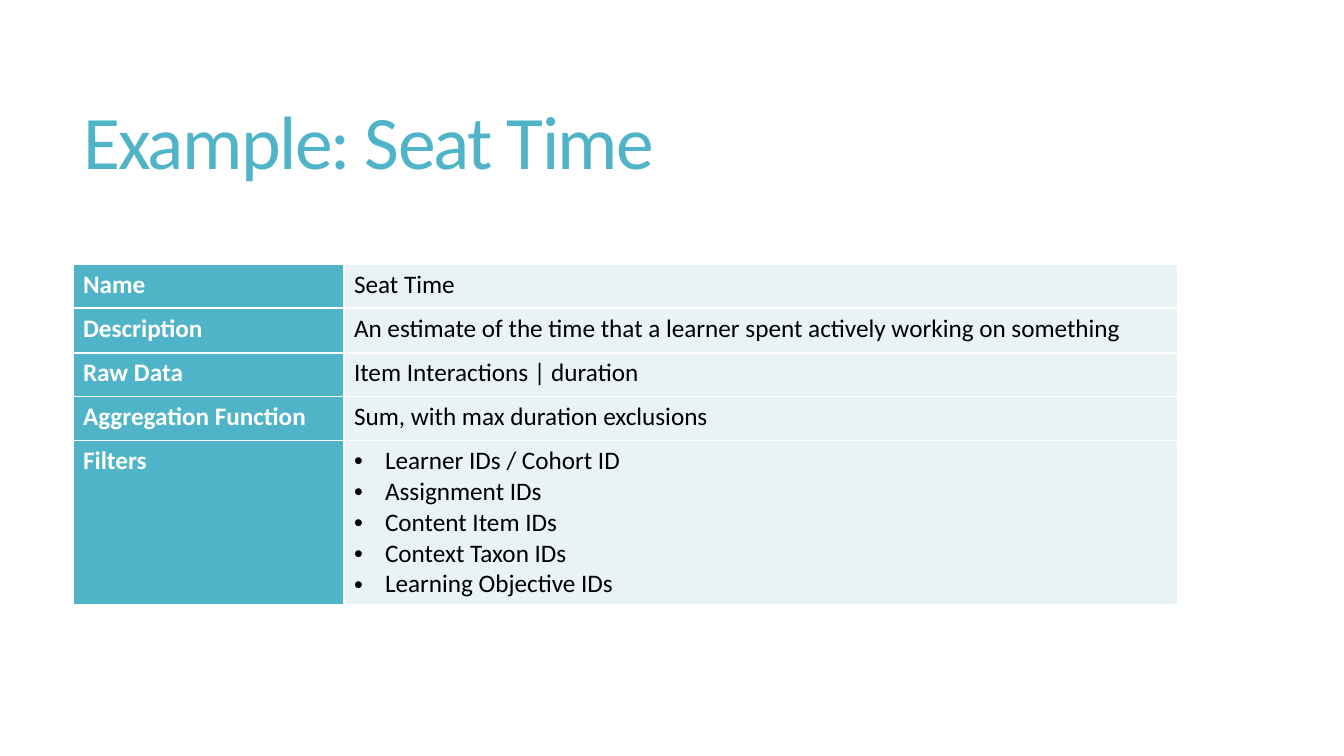
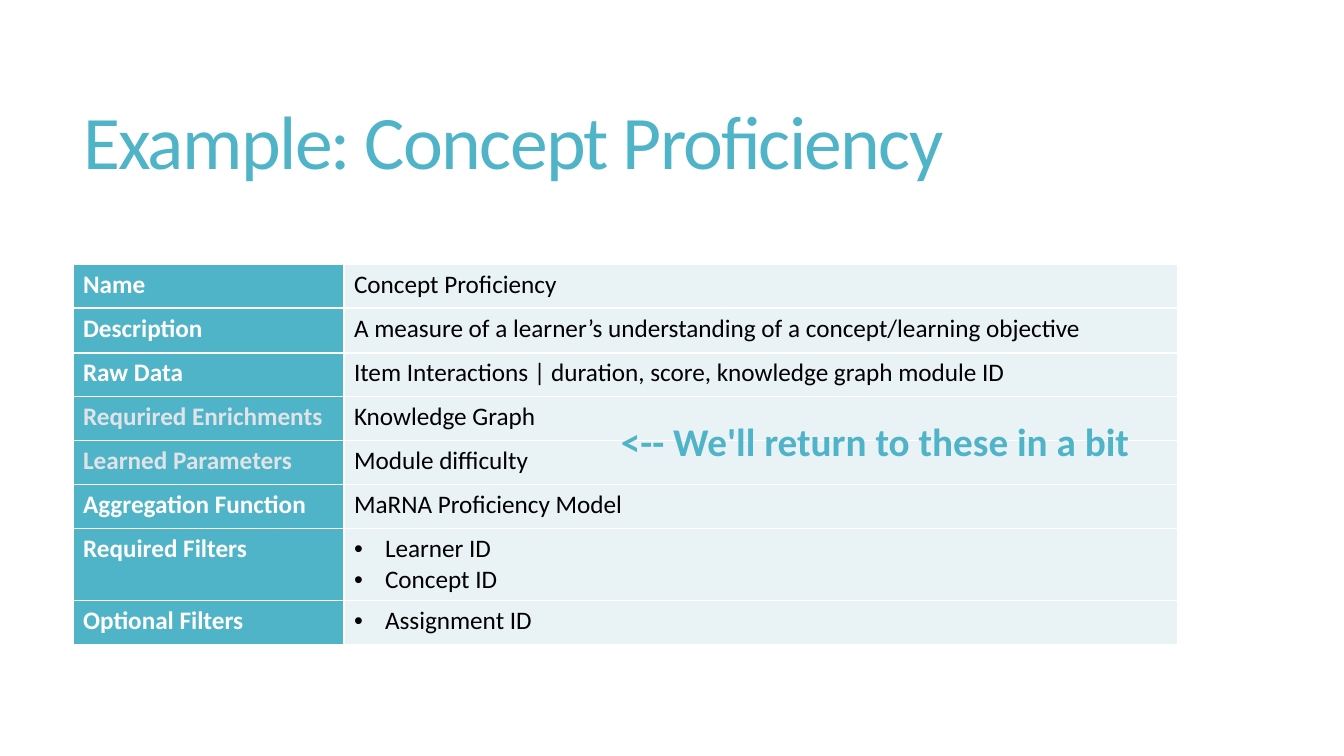
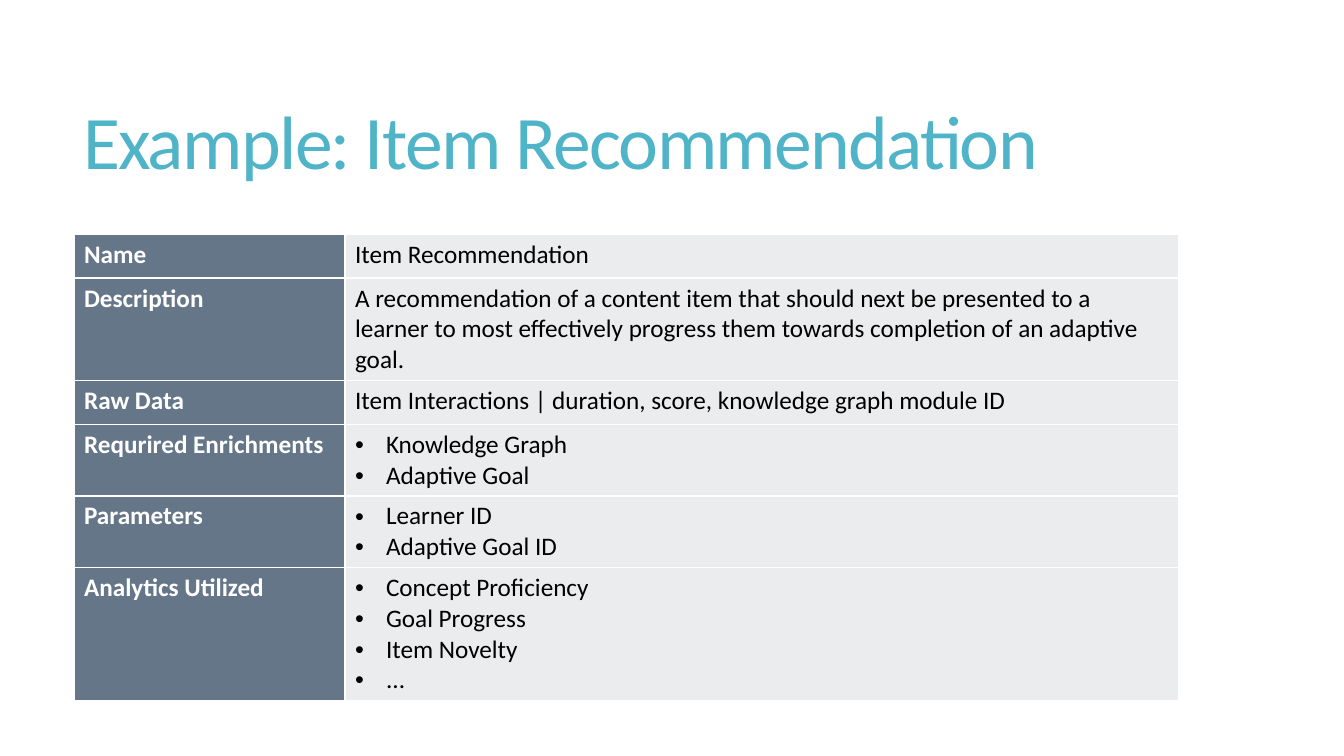
from lxml import etree
from pptx import Presentation
from pptx.dml.color import RGBColor
from pptx.enum.text import MSO_ANCHOR, MSO_AUTO_SIZE, PP_ALIGN
from pptx.oxml import parse_xml
from pptx.oxml.ns import nsdecls, qn
from pptx.util import Emu, Pt

LEFT = PP_ALIGN.LEFT
MIDDLE = MSO_ANCHOR.MIDDLE
NO_FIT = MSO_AUTO_SIZE.NONE
GROW = MSO_AUTO_SIZE.SHAPE_TO_FIT_TEXT
TITLE_ONLY = 5

# Shared style
FONT = "Calibri"
TEAL, TEAL_TINT = "50B4C8", "E9F2F5"
SLATE, SLATE_TINT = "657689", "EAECED"
WHITE, BLACK, MUTED = "FFFFFF", "000000", "E0E4E8"
COLUMNS = (271, 834)
CHARS_PER_LINE = 75


def px(n):
    return Emu(round(n * 914400 / 100.8))


def rgb(value):
    return RGBColor.from_string(value)


def row_height(label, content):
    """Height in px of a row, from the lines its content takes."""
    if isinstance(content, list):
        lines = len(content)
    else:
        lines = -(-len(content) // CHARS_PER_LINE)
    least = 45 if label == "Description" else 44
    return max(least, round(30.6 * lines) + 10)


class Deck:
    def __init__(self):
        self.prs = Presentation()
        self.prs.slide_width, self.prs.slide_height = px(1344), px(756)
        self.s = None

    def run(self, p, text, size, color, bold=False):
        r = p.add_run()
        r.text = text
        r.font.name = FONT
        r.font.size = Pt(size)
        r.font.bold = bold
        r.font.color.rgb = rgb(color)
        return r

    def slide(self, title):
        self.s = self.prs.slides.add_slide(self.prs.slide_layouts[TITLE_ONLY])
        sp = self.s.shapes.title
        sp.left, sp.top, sp.width, sp.height = px(73), px(55), px(1187), px(182)
        tf = sp.text_frame
        tf.word_wrap = True
        tf.auto_size = NO_FIT
        tf.vertical_anchor = MIDDLE
        p = tf.paragraphs[0]
        p.alignment = LEFT
        p.line_spacing = 0.85
        r = self.run(p, title, 54, TEAL)
        r._r.get_or_add_rPr().set("spc", "-120")

    def bullet(self, p):
        pPr = p._p.get_or_add_pPr()
        pPr.set("marL", str(px(31)))
        pPr.set("indent", str(-px(31)))
        etree.SubElement(pPr, qn("a:buFont")).set("typeface", "Arial")
        etree.SubElement(pPr, qn("a:buChar")).set("char", "•")

    def cell(self, cell, content, fill, color, bold=False):
        tcPr = cell._tc.get_or_add_tcPr()
        for side in "LRTB":
            tcPr.append(parse_xml(
                f'<a:ln{side} {nsdecls("a")} w="{Pt(1)}"><a:solidFill>'
                f'<a:srgbClr val="{WHITE}"/></a:solidFill></a:ln{side}>'))
        cell.fill.solid()
        cell.fill.fore_color.rgb = rgb(fill)
        tf = cell.text_frame
        bulleted = isinstance(content, list)
        for i, text in enumerate(content if bulleted else [content]):
            p = tf.add_paragraph() if i else tf.paragraphs[0]
            if bulleted:
                self.bullet(p)
            self.run(p, text, 18, color, bold)

    def table(self, x, y, rows, fill=TEAL, tint=TEAL_TINT, muted=()):
        heights = [row_height(*row) for row in rows]
        table = self.s.shapes.add_table(
            len(rows), 2, px(x), px(y), px(sum(COLUMNS)), px(sum(heights))).table
        table.first_row = table.horz_banding = False
        for column, width in zip(table.columns, COLUMNS):
            column.width = px(width)
        for i, (label, content) in enumerate(rows):
            table.rows[i].height = px(heights[i])
            color = MUTED if label in muted else WHITE
            self.cell(table.cell(i, 0), label, fill, color, bold=True)
            self.cell(table.cell(i, 1), content, tint, BLACK)

    def callout(self, x, y, w, h, text):
        sp = self.s.shapes.add_textbox(px(x), px(y), px(w), px(h))
        tf = sp.text_frame
        tf.word_wrap = True
        tf.auto_size = GROW
        self.run(tf.paragraphs[0], text, 28, TEAL, bold=True)


def main():
    deck = Deck()

    # Seat time
    deck.slide("Example: Seat Time")
    deck.table(73, 264, [
        ("Name", "Seat Time"),
        ("Description", "An estimate of the time that a learner spent actively "
                        "working on something"),
        ("Raw Data", "Item Interactions | duration"),
        ("Aggregation Function", "Sum, with max duration exclusions"),
        ("Filters", ["Learner IDs / Cohort ID", "Assignment IDs", "Content Item IDs",
                     "Context Taxon IDs", "Learning Objective IDs"]),
    ])

    # Concept proficiency
    deck.slide("Example: Concept Proficiency")
    deck.table(73, 264, [
        ("Name", "Concept Proficiency"),
        ("Description", "A measure of a learner’s understanding of a "
                        "concept/learning objective"),
        ("Raw Data", "Item Interactions | duration, score, knowledge graph module ID"),
        ("Requrired Enrichments", "Knowledge Graph"),
        ("Learned Parameters", "Module difficulty"),
        ("Aggregation Function", "MaRNA Proficiency Model"),
        ("Required Filters", ["Learner ID", "Concept ID"]),
        ("Optional Filters", ["Assignment ID"]),
    ], muted=("Requrired Enrichments", "Learned Parameters"))
    deck.callout(611, 412, 553, 57, "<-- We'll return to these in a bit")

    # Item recommendation
    deck.slide("Example: Item Recommendation")
    deck.table(74, 234, [
        ("Name", "Item Recommendation"),
        ("Description", "A recommendation of a content item that should next be "
                        "presented to a learner to most effectively progress them "
                        "towards completion of an adaptive goal."),
        ("Raw Data", "Item Interactions | duration, score, knowledge graph module ID"),
        ("Requrired Enrichments", ["Knowledge Graph", "Adaptive Goal"]),
        ("Parameters", ["Learner ID", "Adaptive Goal ID"]),
        ("Analytics Utilized", ["Concept Proficiency", "Goal Progress",
                                "Item Novelty", "..."]),
    ], fill=SLATE, tint=SLATE_TINT)

    deck.prs.save("out.pptx")


if __name__ == "__main__":
    main()
